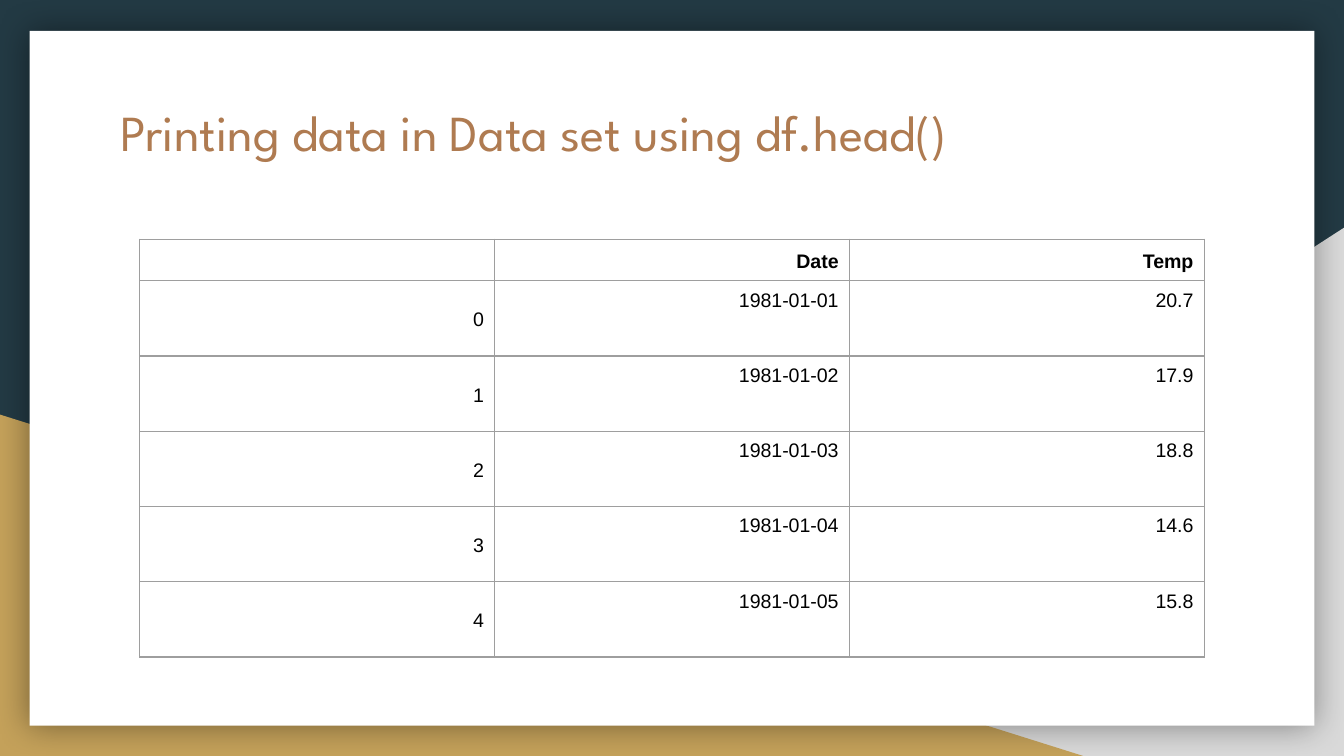
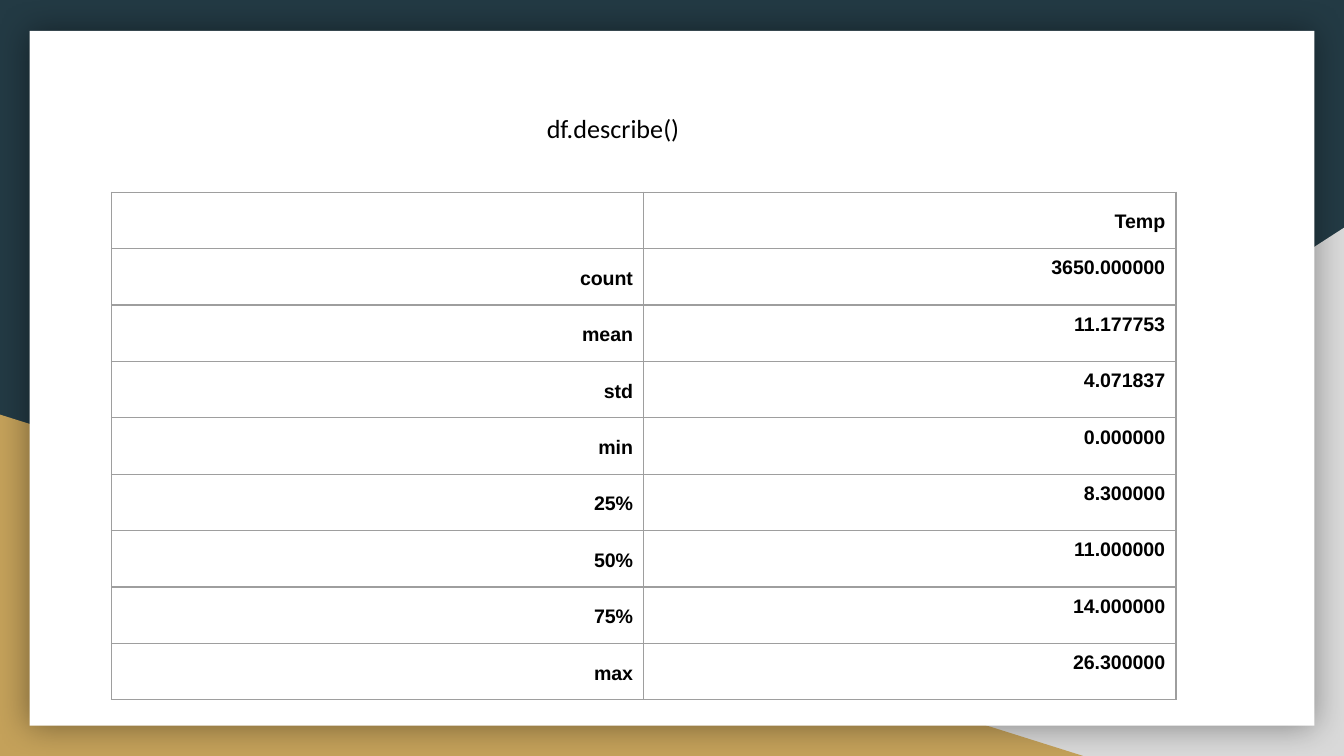
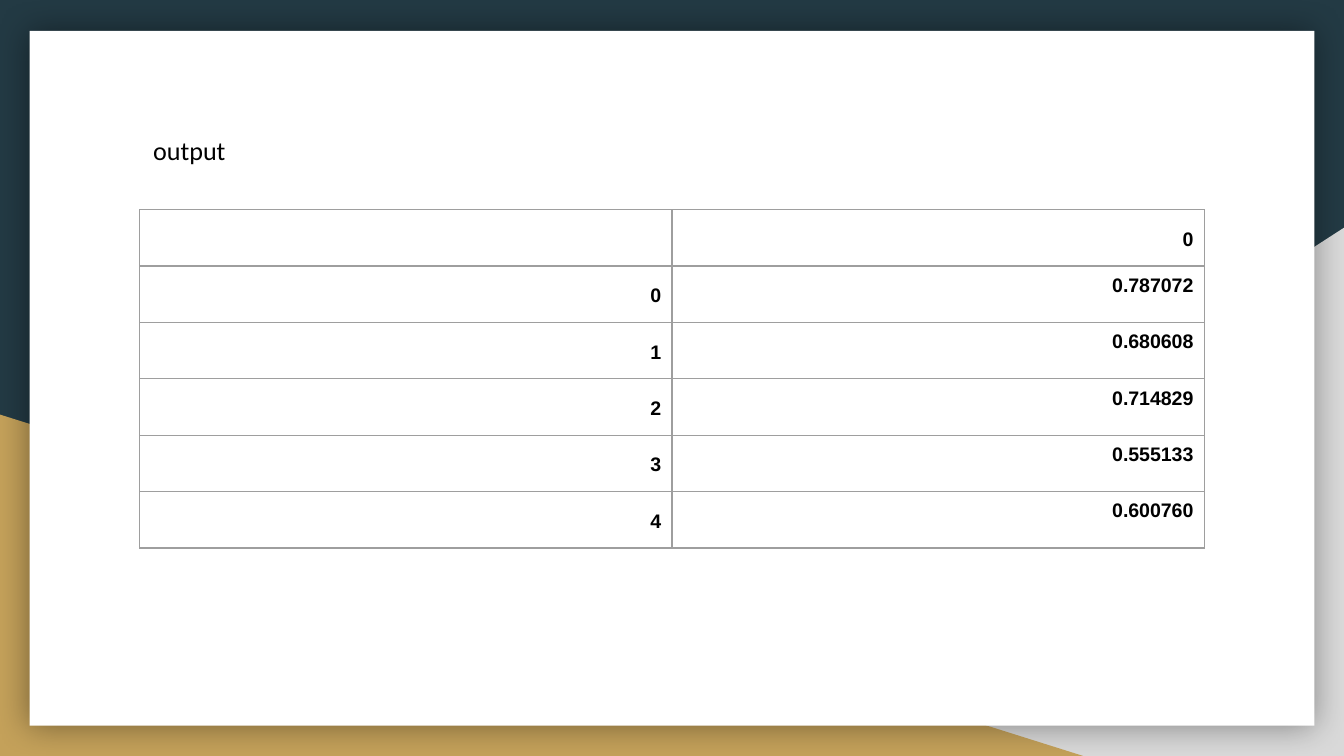
"""Build three slides of temperature tables on a shared framed backdrop."""
from dataclasses import dataclass

from lxml.etree import SubElement
from pptx import Presentation
from pptx.dml.color import RGBColor
from pptx.enum.shapes import MSO_SHAPE
from pptx.enum.text import MSO_ANCHOR, PP_ALIGN
from pptx.oxml.ns import qn
from pptx.util import Inches, Pt


@dataclass(frozen=True)
class Theme:
    backdrop: str = "233A44"
    grey: str = "D9D9D9"
    gold: str = "C4A15A"
    card: str = "FFFFFF"
    title: str = "AF7B51"
    ink: str = "000000"
    rule: str = "9E9E9E"
    title_font: str = "League Spartan"
    label_font: str = "Calibri"
    cell_font: str = "Arial"
    title_size: float = 27
    label_size: float = 14
    cell_size: float = 10.5
    rule_width: float = 0.75


THEME = Theme()
WIDTH, HEIGHT = 10, 5.625
TABLE_WIDTH = 7.92
TITLE_STYLE = (THEME.title_font, THEME.title_size, THEME.title)
LABEL_STYLE = (THEME.label_font, THEME.label_size, THEME.ink)

SLIDES = [
    {
        "heading": "Printing data in Data set using df.head()",
        "style": TITLE_STYLE, "anchor": MSO_ANCHOR.BOTTOM,
        "box": (0.8, 0.63, 8.21, 0.67), "indent": 0,
        "corner": (1.04, 1.78), "header_height": 0.31, "row_height": 0.56,
        "bold_body": False,
        "rows": [
            ("", "Date", "Temp"),
            ("0", "1981-01-01", "20.7"),
            ("1", "1981-01-02", "17.9"),
            ("2", "1981-01-03", "18.8"),
            ("3", "1981-01-04", "14.6"),
            ("4", "1981-01-05", "15.8"),
        ],
    },
    {
        "heading": "df.describe()",
        "style": LABEL_STYLE, "anchor": MSO_ANCHOR.TOP,
        "box": (1.11, 0.74, 6.69, 0.44), "indent": 2.86,
        "corner": (0.83, 1.43), "header_height": 0.42, "row_height": 0.42,
        "bold_body": True,
        "rows": [
            ("", "Temp"),
            ("count", "3650.000000"),
            ("mean", "11.177753"),
            ("std", "4.071837"),
            ("min", "0.000000"),
            ("25%", "8.300000"),
            ("50%", "11.000000"),
            ("75%", "14.000000"),
            ("max", "26.300000"),
        ],
    },
    {
        "heading": "output",
        "style": LABEL_STYLE, "anchor": MSO_ANCHOR.TOP,
        "box": (1.04, 0.9, 6.68, 0.44), "indent": 0,
        "corner": (1.04, 1.56), "header_height": 0.42, "row_height": 0.42,
        "bold_body": True,
        "rows": [
            ("", "0"),
            ("0", "0.787072"),
            ("1", "0.680608"),
            ("2", "0.714829"),
            ("3", "0.555133"),
            ("4", "0.600760"),
        ],
    },
]


def set_font(paragraph, name, size, color, bold=False):
    font = paragraph.font
    font.name, font.size, font.bold = name, Pt(size), bold
    font.color.rgb = RGBColor.from_string(color)


def add_panel(page, kind, left, top, width, height, color):
    panel = page.shapes.add_shape(kind, *map(Inches, (left, top, width, height)))
    panel.shadow.inherit = False
    panel.fill.solid()
    panel.fill.fore_color.rgb = RGBColor.from_string(color)
    panel.line.fill.background()
    return panel


def add_glow(panel):
    effects = panel.element.spPr.find(qn("a:effectLst"))
    glow = SubElement(effects, qn("a:outerShdw"), blurRad=str(Pt(18)), dist="0",
                      dir="0", algn="ctr", rotWithShape="0")
    color = SubElement(glow, qn("a:srgbClr"), val=THEME.ink)
    SubElement(color, qn("a:alpha"), val="40000")


def add_backdrop(page):
    page.background.fill.solid()
    page.background.fill.fore_color.rgb = RGBColor.from_string(THEME.backdrop)
    triangle = MSO_SHAPE.RIGHT_TRIANGLE
    right = add_panel(page, triangle, WIDTH - 6.08, HEIGHT - 3.93, 6.08, 3.93, THEME.grey)
    right.element.spPr.xfrm.set("flipH", "1")
    add_panel(page, triangle, 0, HEIGHT - 2.54, 8.06, 2.54, THEME.gold)
    card = add_panel(page, MSO_SHAPE.RECTANGLE, 0.22, 0.23, WIDTH - 0.44, 5.17, THEME.card)
    add_glow(card)


def add_heading(page, content):
    box = page.shapes.add_textbox(*map(Inches, content["box"]))
    frame = box.text_frame
    frame.word_wrap = True
    frame.vertical_anchor = content["anchor"]
    frame.margin_left = frame.margin_right = Inches(0.1)
    frame.margin_top = frame.margin_bottom = Inches(0.1)
    paragraph = frame.paragraphs[0]
    paragraph.text = content["heading"]
    set_font(paragraph, *content["style"])
    if content["indent"]:
        properties = paragraph.font._element.getparent()
        properties.set("marL", str(Inches(content["indent"])))
        properties.set("indent", "0")


def add_borders(cell):
    properties = cell._tc.get_or_add_tcPr()
    for position, side in enumerate(("lnL", "lnR", "lnT", "lnB")):
        line = SubElement(properties, qn(f"a:{side}"), w=str(Pt(THEME.rule_width)))
        fill = SubElement(line, qn("a:solidFill"))
        SubElement(fill, qn("a:srgbClr"), val=THEME.rule)
        properties.insert(position, line)


def fill_cell(cell, text, bold, anchor):
    cell.fill.background()
    cell.vertical_anchor = anchor
    cell.margin_left = cell.margin_right = Inches(0.08)
    cell.margin_top = cell.margin_bottom = Inches(0.04)
    paragraph = cell.text_frame.paragraphs[0]
    paragraph.text = text
    paragraph.alignment = PP_ALIGN.RIGHT
    paragraph.line_spacing = 1.15
    set_font(paragraph, THEME.cell_font, THEME.cell_size, THEME.ink, bold)
    add_borders(cell)


def add_data_table(page, content):
    rows = content["rows"]
    columns = len(rows[0])
    heights = [content["header_height"]] + [content["row_height"]] * (len(rows) - 1)
    left, top = content["corner"]
    frame = page.shapes.add_table(len(rows), columns, Inches(left), Inches(top),
                                  Inches(TABLE_WIDTH), Inches(sum(heights)))
    table = frame.table
    table.first_row = table.horz_banding = False
    for column in table.columns:
        column.width = Inches(TABLE_WIDTH / columns)
    for row_index, values in enumerate(rows):
        table.rows[row_index].height = Inches(heights[row_index])
        for column_index, text in enumerate(values):
            is_label = row_index == 0 or column_index == 0
            fill_cell(table.cell(row_index, column_index), text,
                      row_index == 0 or content["bold_body"],
                      MSO_ANCHOR.MIDDLE if is_label else MSO_ANCHOR.TOP)


def main():
    deck = Presentation()
    deck.slide_width, deck.slide_height = Inches(WIDTH), Inches(HEIGHT)
    for content in SLIDES:
        page = deck.slides.add_slide(deck.slide_layouts[6])
        add_backdrop(page)
        add_heading(page, content)
        add_data_table(page, content)
    deck.save("out.pptx")


if __name__ == "__main__":
    main()
